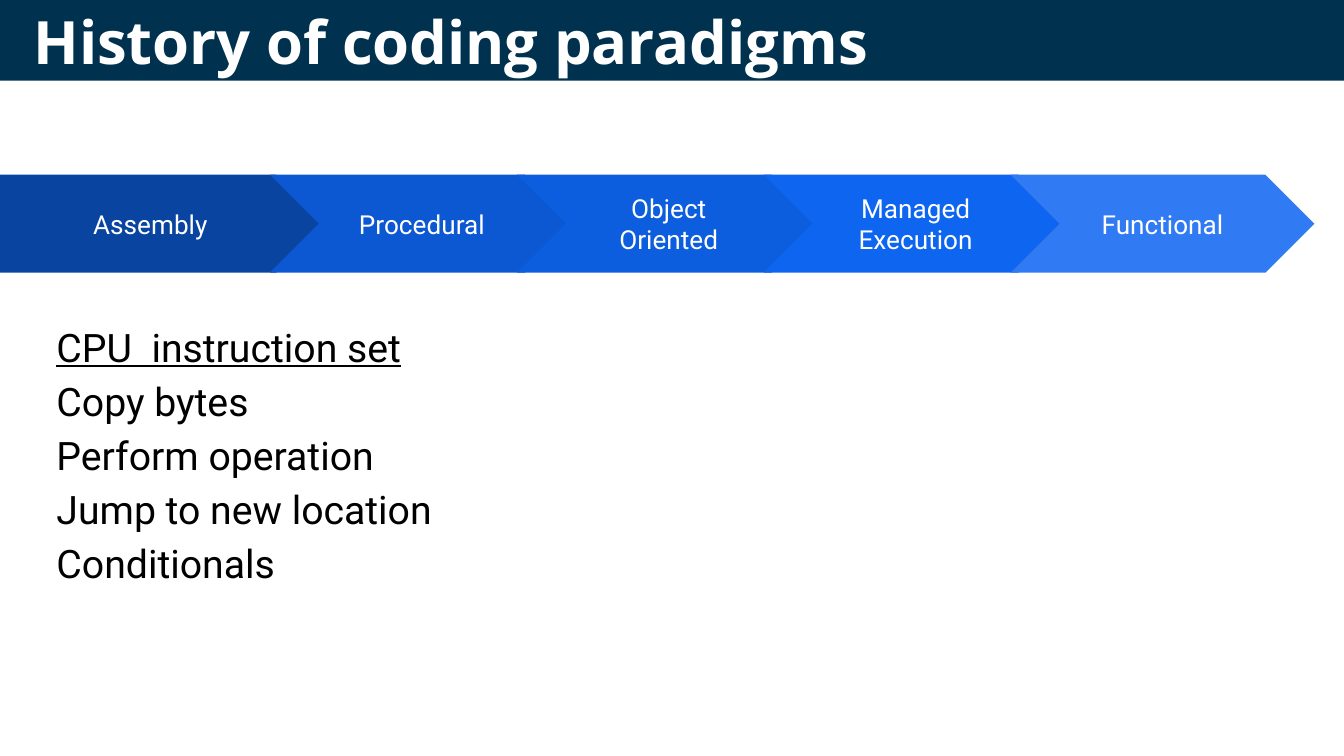
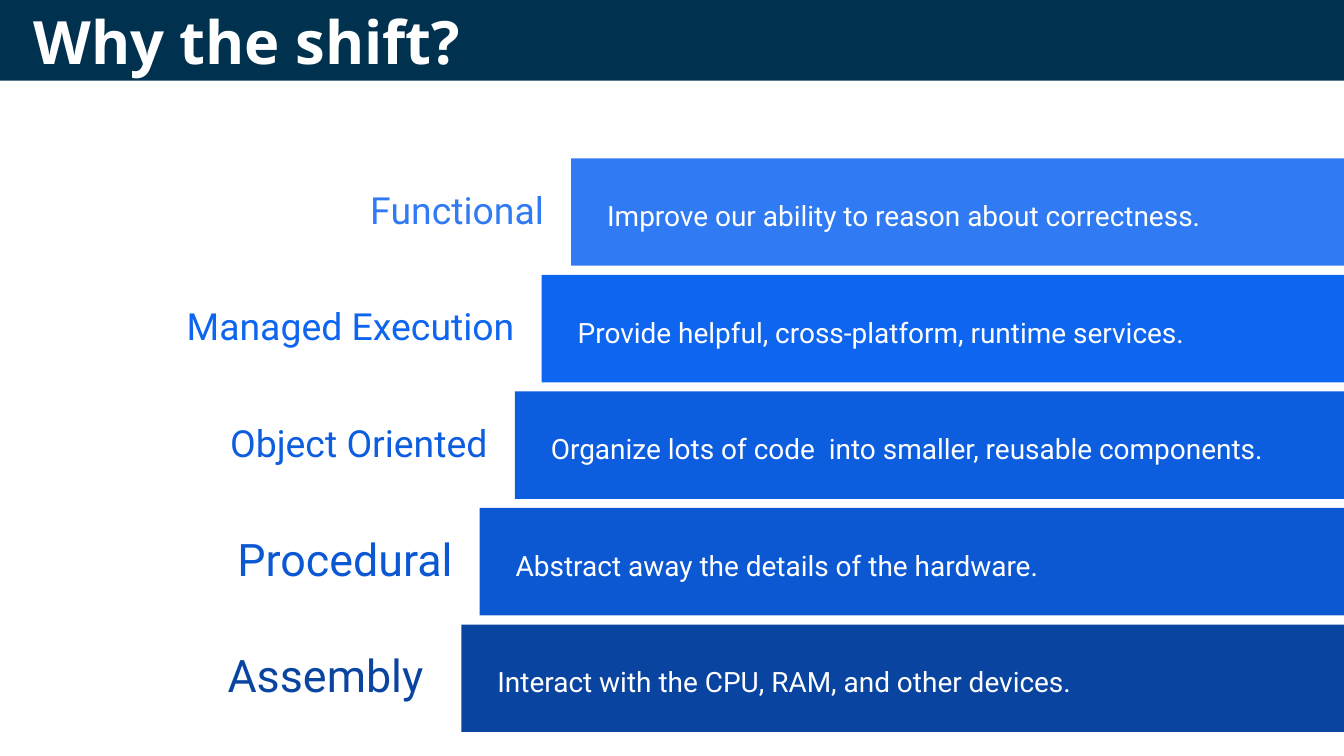
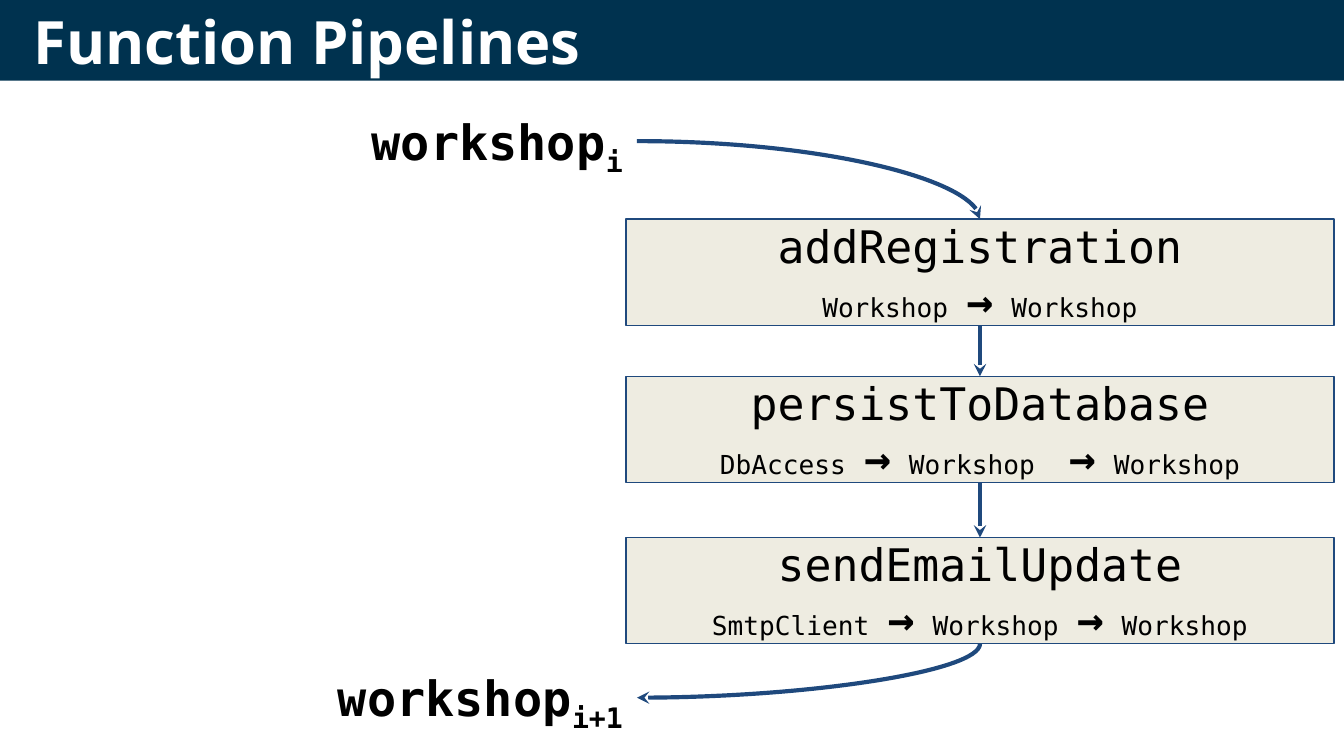
from dataclasses import dataclass, field
from typing import Any, NamedTuple

import pptx
import pptx.dml.color
import pptx.enum.shapes
import pptx.enum.text
import pptx.oxml.ns
import pptx.oxml.xmlchemy
import pptx.util

Pt = pptx.util.Pt
SHAPE = pptx.enum.shapes.MSO_SHAPE
CONNECTOR = pptx.enum.shapes.MSO_CONNECTOR
ALIGN = pptx.enum.text.PP_ALIGN
ANCHOR = pptx.enum.text.MSO_ANCHOR


# Theme
@dataclass(frozen=True)
class Theme:
    width: float = 720
    height: float = 405
    inset: float = 7.2
    band: str = "00324F"
    white: str = "FFFFFF"
    black: str = "000000"
    box: str = "EEECE1"
    line: str = "1F497D"
    title_font: str = "Open Sans"
    body_font: str = "Roboto"
    code_font: str = "DejaVu Sans Mono"
    title_size: float = 32
    list_size: float = 21
    step_size: float = 14
    reason_size: float = 15
    value_size: float = 26
    function_size: float = 24
    type_size: float = 14
    space_size: float = 16
    paradigm: dict[str, str] = field(default_factory=lambda: {
        "Assembly": "0944A1",
        "Procedural": "0C58D3",
        "Object Oriented": "0D5DDF",
        "Managed Execution": "0E65F0",
        "Functional": "307BF3",
    })


T = Theme()


class Box(NamedTuple):
    x: float
    y: float
    w: float
    h: float


class Run(NamedTuple):
    text: str
    size: float
    color: str = T.black
    font: str = T.body_font
    bold: bool = False
    underline: bool = False
    subscript: bool = False


class Reason(NamedTuple):
    paradigm: str
    text: str
    left: float
    label_size: float


class Function(NamedTuple):
    name: str
    types: tuple[str, ...]
    top: float


# Shared drawing
def rgb(color: str) -> pptx.dml.color.RGBColor:
    return pptx.dml.color.RGBColor.from_string(color)


def add_runs(p: Any, runs: list[Run]) -> None:
    for run in runs:
        r = p.add_run()
        r.text = run.text
        r.font.size = Pt(run.size)
        r.font.name = run.font
        r.font.bold = run.bold
        r.font.underline = run.underline
        r.font.color.rgb = rgb(run.color)
        if run.subscript:
            r.font._element.set("baseline", "-25000")


def write(sp: Any, paragraphs: list[list[Run]], align: Any = ALIGN.LEFT,
          anchor: Any = ANCHOR.MIDDLE, spacing: float = 1.0,
          v_inset: float = T.inset) -> None:
    tf = sp.text_frame
    tf.word_wrap = True
    tf.vertical_anchor = anchor
    tf.margin_left = tf.margin_right = Pt(T.inset)
    tf.margin_top = tf.margin_bottom = Pt(v_inset)
    for i, runs in enumerate(paragraphs):
        p = tf.add_paragraph() if i else tf.paragraphs[0]
        p.alignment = align
        p.line_spacing = spacing
        add_runs(p, runs)


def add_text(s: Any, box: Box, paragraphs: list[list[Run]], **style: Any) -> None:
    write(s.shapes.add_textbox(*map(Pt, box)), paragraphs, **style)


def add_shape(s: Any, kind: Any, box: Box, fill: str, line: str | None = None) -> Any:
    sp = s.shapes.add_shape(kind, *map(Pt, box))
    sp.shadow.inherit = False
    sp.fill.solid()
    sp.fill.fore_color.rgb = rgb(fill)
    if line:
        sp.line.color.rgb = rgb(line)
        sp.line.width = Pt(0.75)
    else:
        sp.line.fill.background()
    return sp


def add_arrow(s: Any, kind: Any, x1: float, y1: float, x2: float, y2: float) -> Any:
    cxn = s.shapes.add_connector(kind, Pt(x1), Pt(y1), Pt(x2), Pt(y2))
    cxn.line.color.rgb = rgb(T.line)
    cxn.line.width = Pt(2.25)
    tail = pptx.oxml.xmlchemy.OxmlElement("a:tailEnd")
    tail.set("type", "stealth")
    cxn.line._get_or_add_ln().append(tail)
    sp_pr = cxn._element.spPr
    sp_pr.append(pptx.oxml.xmlchemy.OxmlElement("a:effectLst"))
    if kind == CONNECTOR.CURVE:
        sp_pr.find(pptx.oxml.ns.qn("a:prstGeom")).set("prst", "curvedConnector2")
    return cxn


def add_slide(prs: Any, title: str) -> Any:
    s = prs.slides.add_slide(prs.slide_layouts[6])
    add_shape(s, SHAPE.RECTANGLE, Box(0, 0, T.width, 43.2), T.band)
    add_text(s, Box(10.8, 5.8, 703.4, 32.4),
             [[Run(title, T.title_size, T.white, T.title_font, bold=True)]])
    return s


# Slide 1: timeline of paradigms
def history_slide(prs: Any) -> None:
    s = add_slide(prs, "History of coding paradigms")
    first_left, step, top, height = 144.7, 132.25, 93.6, 52.5
    for i, (name, color) in enumerate(T.paradigm.items()):
        if i == 0:
            kind, box = SHAPE.PENTAGON, Box(0, top, 174.2, height)
        else:
            kind, box = SHAPE.CHEVRON, Box(first_left + (i - 1) * step, top, 162.7, height)
        sp = add_shape(s, kind, box, color)
        write(sp, [[Run(name, T.step_size, T.white)]], align=ALIGN.CENTER)

    lines = ["CPU  instruction set", "Copy bytes", "Perform operation",
             "Jump to new location", "Conditionals"]
    add_text(s, Box(23.2, 162, 319.7, 185),
             [[Run(line, T.list_size, underline=i == 0)] for i, line in enumerate(lines)],
             anchor=ANCHOR.TOP, spacing=1.15)


# Slide 2: staircase of reasons
def shift_slide(prs: Any) -> None:
    s = add_slide(prs, "Why the shift?")
    reasons = [
        Reason("Functional", "Improve our ability to reason about correctness.", 306, 20),
        Reason("Managed Execution", "Provide helpful, cross-platform, runtime services.", 290.2, 20),
        Reason("Object Oriented",
               "Organize lots of code  into smaller, reusable components.", 275.8, 20),
        Reason("Procedural", "Abstract away the details of the hardware.", 257, 24),
        Reason("Assembly ", "Interact with the CPU, RAM, and other devices.", 247.2, 24),
    ]
    top, step, height, text_right = 84.8, 62.45, 57.6, 705
    for i, reason in enumerate(reasons):
        y = top + i * step
        color = T.paradigm[reason.paradigm.strip()]
        add_text(s, Box(0, y + 4, reason.left - 7.4, 49.7),
                 [[Run(reason.paradigm, reason.label_size, color)]],
                 align=ALIGN.RIGHT, spacing=0.9, v_inset=3.6)
        add_shape(s, SHAPE.RECTANGLE, Box(reason.left, y, T.width - reason.left, height), color)
        text_left = reason.left + 12.2
        add_text(s, Box(text_left, y + 16.3, text_right - text_left, 26),
                 [[Run(reason.text, T.reason_size, T.white)]], spacing=1.15, v_inset=3.6)


# Slide 3: pipeline of functions
def signature(types: tuple[str, ...]) -> list[Run]:
    space = Run(" ", T.space_size, font=T.code_font)
    arrow = Run("→", T.function_size, font=T.code_font, bold=True)
    runs: list[Run] = []
    for name in types:
        if runs:
            runs += [space, arrow, space]
        runs.append(Run(name, T.type_size, font=T.code_font))
    return runs


def pipeline_slide(prs: Any) -> None:
    s = add_slide(prs, "Function Pipelines")
    functions = [
        Function("addRegistration", ("Workshop", "Workshop"), 117.4),
        Function("persistToDatabase", ("DbAccess", "Workshop ", "Workshop"), 201.6),
        Function("sendEmailUpdate", ("SmtpClient", "Workshop", "Workshop"), 288),
    ]
    left, width, height = 335.3, 379.4, 56.9
    boxes = []
    for fn in functions:
        sp = add_shape(s, SHAPE.RECTANGLE, Box(left, fn.top, width, height), T.box, T.line)
        write(sp, [[Run(fn.name, T.function_size, font=T.code_font)], signature(fn.types)],
              align=ALIGN.CENTER)
        boxes.append(sp)

    # Values entering and leaving the pipeline
    for index, y in (("i", 52.6), ("i+1", 350.6)):
        value = Run("workshop", T.value_size, font=T.code_font, bold=True)
        add_text(s, Box(41.8, y, 298.8, 46.1),
                 [[value, value._replace(text=index, subscript=True)]],
                 align=ALIGN.RIGHT, anchor=ANCHOR.TOP)

    # Arrows between functions: bottom site to top site
    for upper, lower in zip(boxes, boxes[1:]):
        cxn = add_arrow(s, CONNECTOR.STRAIGHT, 0, 0, 0, 0)
        cxn.begin_connect(upper, 2)
        cxn.end_connect(lower, 0)

    # Curves in and out; the second is a quarter turn of the same curve
    value_x, center_x = 341.2, left + width / 2
    add_arrow(s, CONNECTOR.CURVE, value_x, 75.6, center_x, functions[0].top)
    exit_y = functions[-1].top + height
    run, drop = center_x - value_x, 373.8 - exit_y
    x, y = value_x + (run - drop) / 2, exit_y + (drop - run) / 2
    cxn = add_arrow(s, CONNECTOR.CURVE, x, y, x + drop, y + run)
    cxn._element.spPr.find(pptx.oxml.ns.qn("a:xfrm")).set("rot", "5400000")


def main() -> None:
    prs = pptx.Presentation()
    prs.slide_width, prs.slide_height = Pt(T.width), Pt(T.height)
    history_slide(prs)
    shift_slide(prs)
    pipeline_slide(prs)
    prs.save("out.pptx")


if __name__ == "__main__":
    main()
